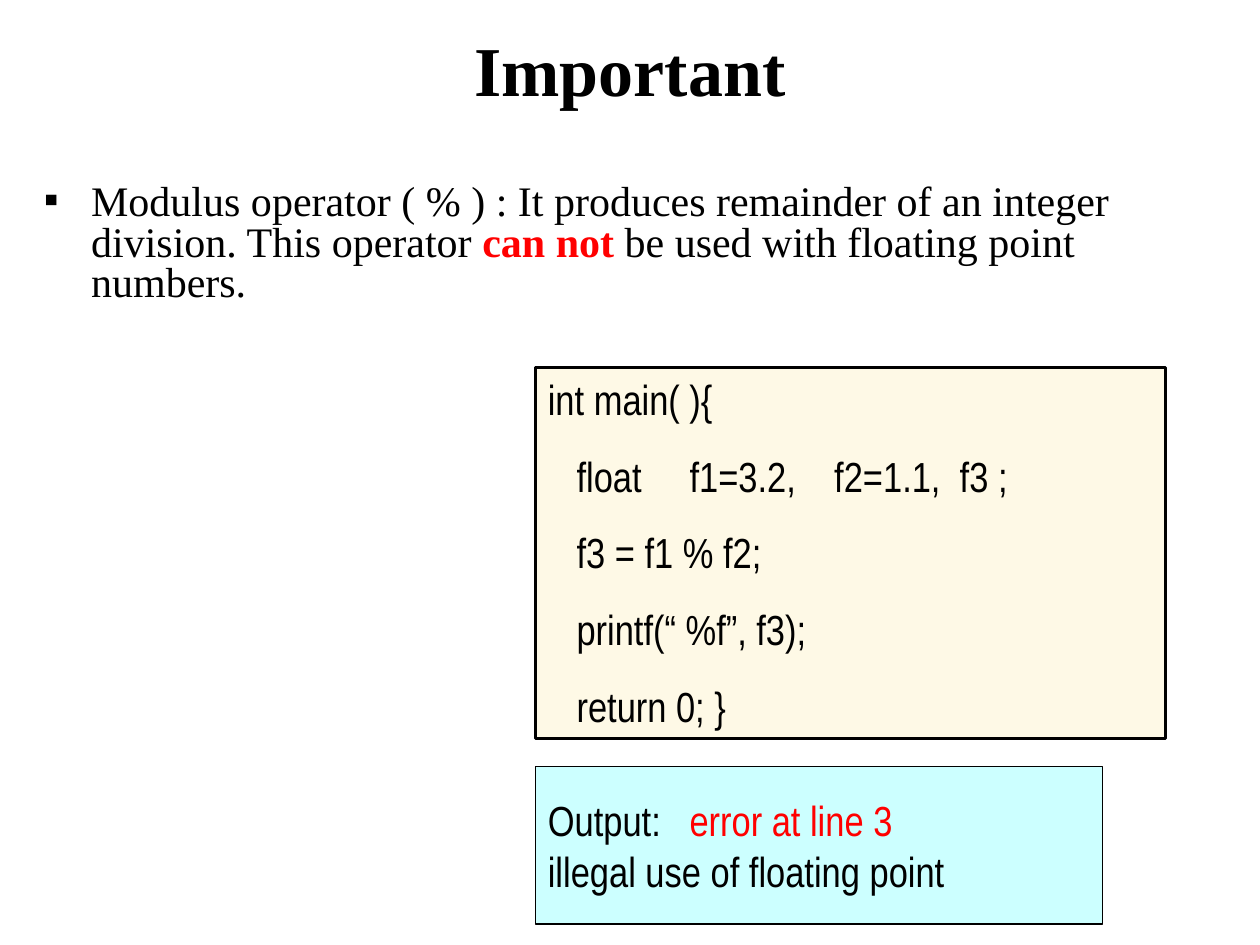
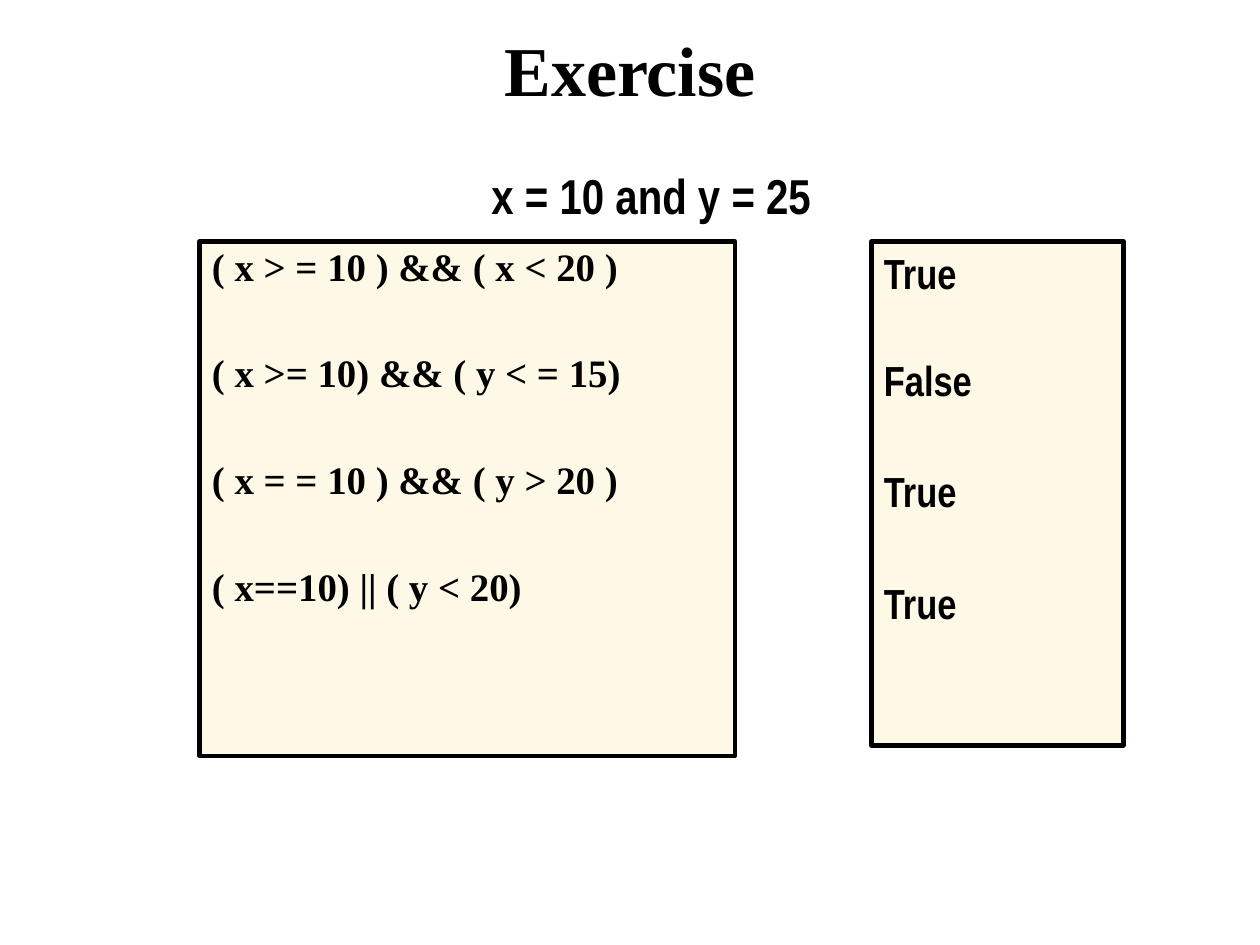
from dataclasses import dataclass

from lxml import etree
from pptx import Presentation
from pptx.dml.color import RGBColor
from pptx.enum.shapes import MSO_SHAPE
from pptx.enum.text import MSO_ANCHOR, PP_ALIGN
from pptx.oxml.ns import qn
from pptx.util import Emu, Pt

RECTANGLE = MSO_SHAPE.RECTANGLE
TOP, MIDDLE = MSO_ANCHOR.TOP, MSO_ANCHOR.MIDDLE
LEFT, CENTER = PP_ALIGN.LEFT, PP_ALIGN.CENTER
EMU_PER_PX = 7620


@dataclass(frozen=True)
class TextStyle:
    font: str
    size: float
    bold: bool = False


@dataclass(frozen=True)
class Theme:
    ink: str = "000000"
    accent: str = "FF0000"
    cream: str = "FEF9E6"
    cyan: str = "CCFFFF"
    title: TextStyle = TextStyle("Times New Roman", 40, True)
    body: TextStyle = TextStyle("Times New Roman", 24)
    code: TextStyle = TextStyle("Arial Narrow", 24)
    given: TextStyle = TextStyle("Arial Narrow", 28, True)
    expression: TextStyle = TextStyle("Times New Roman", 22.2, True)
    answer: TextStyle = TextStyle("Arial Narrow", 24, True)


THEME = Theme()


def px(value):
    return Emu(value * EMU_PER_PX)


def color(value):
    return RGBColor.from_string(value)


def format_runs(paragraph, style):
    for run in paragraph.runs:
        run.font.name = style.font
        run.font.size = Pt(style.size)
        run.font.bold = style.bold
        run.font.color.rgb = color(THEME.ink)


def write_lines(shape, lines, style, align=LEFT, anchor=TOP, gaps=(), line_spacing=1.0):
    text_frame = shape.text_frame
    text_frame.word_wrap = True
    text_frame.vertical_anchor = anchor
    text_frame.text = "\n".join(lines)
    for paragraph in text_frame.paragraphs:
        paragraph.alignment = align
        paragraph.line_spacing = line_spacing
        format_runs(paragraph, style)
    for paragraph, gap in zip(text_frame.paragraphs[1:], gaps):
        paragraph.space_before = Pt(gap)
    return text_frame.paragraphs


def accent_phrase(paragraph, phrase, style, bold=False):
    before, _, after = paragraph.text.partition(phrase)
    paragraph.text = before
    for piece in filter(None, (phrase, after)):
        paragraph.add_run().text = piece
    format_runs(paragraph, style)
    font = paragraph.runs[1].font
    font.color.rgb = color(THEME.accent)
    font.bold = bold


def add_bullet(paragraph, character, indent):
    properties = paragraph._p.get_or_add_pPr()
    properties.set("marL", str(px(indent)))
    properties.set("indent", str(px(-indent)))
    bullet_color = etree.SubElement(properties, qn("a:buClr"))
    etree.SubElement(bullet_color, qn("a:srgbClr"), val=THEME.ink)
    etree.SubElement(properties, qn("a:buFont"), typeface=THEME.body.font)
    etree.SubElement(properties, qn("a:buChar"), char=character)


def add_label(slide, box, lines, style, **layout):
    shape = slide.shapes.add_textbox(*map(px, box))
    return write_lines(shape, lines, style, **layout)


def add_panel(slide, box, fill, line_width, lines, style, **layout):
    shape = slide.shapes.add_shape(RECTANGLE, *map(px, box))
    shape.shadow.inherit = False
    shape.fill.solid()
    shape.fill.fore_color.rgb = color(fill)
    shape.line.color.rgb = color(THEME.ink)
    shape.line.width = Pt(line_width)
    return write_lines(shape, lines, style, **layout)


def add_titled_slide(presentation, title):
    slide = presentation.slides.add_slide(presentation.slide_layouts[6])
    add_label(slide, (30, 0, 1140, 130), [title], THEME.title, align=CENTER, anchor=MIDDLE)
    return slide


def build_modulus_slide(presentation):
    slide = add_titled_slide(presentation, "Important")
    rule = add_label(
        slide, (30, 170, 1130, 140),
        ["Modulus operator ( % ) : It produces remainder of an integer division. "
         "This operator can not be used with floating point numbers."],
        THEME.body, line_spacing=0.8)[0]
    add_bullet(rule, "▪", 45)
    accent_phrase(rule, "can not", THEME.body, bold=True)

    code = [
        "int main( ){",
        "   float     f1=3.2,    f2=1.1,  f3 ;",
        "   f3 = f1 % f2;",
        "   printf(“ %f”, f3);",
        "   return 0; }",
    ]
    add_panel(slide, (510, 350, 600, 353), THEME.cream, 1.75, code, THEME.code,
              gaps=[15] * 4)
    output = add_panel(
        slide, (510, 730, 540, 150), THEME.cyan, 1,
        ["Output:   error at line 3", "illegal use of floating point"],
        THEME.code, anchor=MIDDLE)
    accent_phrase(output[0], "error at line 3", THEME.code)


def build_exercise_slide(presentation):
    slide = add_titled_slide(presentation, "Exercise")
    expressions = [
        "( x > = 10 ) && ( x < 20 )",
        "( x >= 10) && ( y < = 15)",
        "( x = = 10 ) && ( y > 20 )",
        "( x==10) || ( y < 20)",
    ]
    add_panel(slide, (190, 230, 510, 490), THEME.cream, 2.5, expressions,
              THEME.expression, gaps=[37] * 3, line_spacing=0.9)
    add_label(slide, (360, 152, 520, 68), ["x = 10 and y = 25"], THEME.given, align=CENTER)
    add_panel(slide, (830, 230, 240, 480), THEME.cream, 2.5,
              ["True", "False", "True", "True"], THEME.answer, gaps=[32, 35, 35])


def main():
    presentation = Presentation()
    presentation.slide_width = px(1200)
    presentation.slide_height = px(900)
    build_modulus_slide(presentation)
    build_exercise_slide(presentation)
    presentation.save("out.pptx")


if __name__ == "__main__":
    main()
